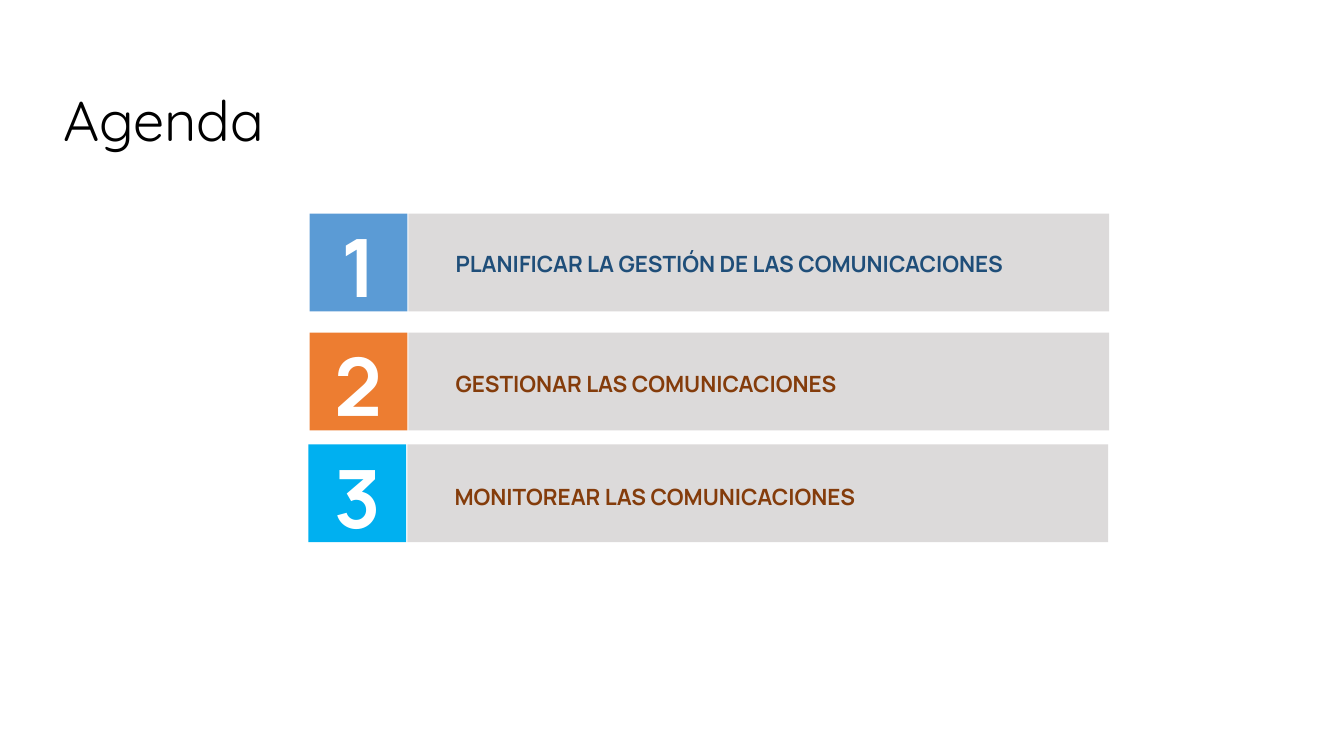
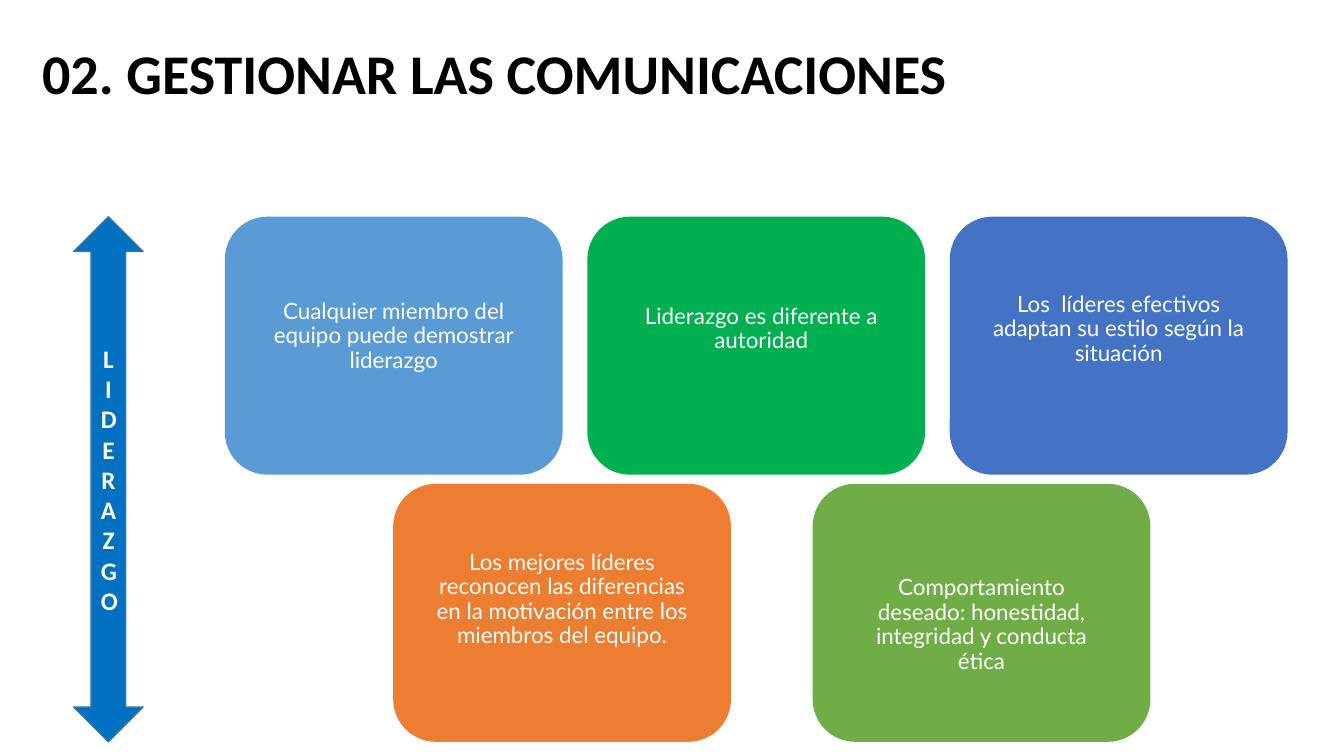
from pptx import Presentation
from pptx import util as u
from pptx.dml.color import RGBColor
from pptx.enum import shapes, text

# Colours
WHITE = RGBColor(0xFF, 0xFF, 0xFF)
BLACK = RGBColor(0, 0, 0)
GREY = RGBColor(0xDC, 0xDA, 0xDA)
BLUE = RGBColor(0x5B, 0x9B, 0xD5)
ORANGE = RGBColor(0xED, 0x7D, 0x31)
CYAN = RGBColor(0, 0xB0, 0xF0)
GREEN = RGBColor(0, 0xB0, 0x50)
INDIGO = RGBColor(0x44, 0x72, 0xC4)
OLIVE = RGBColor(0x70, 0xAD, 0x47)
NAVY = RGBColor(0x1F, 0x4E, 0x79)
BROWN = RGBColor(0x84, 0x3C, 0x0B)
ROYAL = RGBColor(0, 0x70, 0xC0)
EDGE = RGBColor(0x43, 0x73, 0x9E)

# Text styles
LIGHT = dict(name="Quicksand", size=u.Pt(40))
HEAVY = dict(name="Calibri", size=u.Pt(40), bold=True)
DIGIT = dict(name="Manrope", size=u.Pt(57.5), bold=True)
LABEL = dict(name="Manrope", size=u.Pt(16), bold=True)
BODY = dict(name="Lato", size=u.Pt(16))
SPINE = dict(name="Calibri", size=u.Pt(18), bold=True)
MID, TOP = text.MSO_ANCHOR.MIDDLE, text.MSO_ANCHOR.TOP
LEFT, CENTER = text.PP_ALIGN.LEFT, text.PP_ALIGN.CENTER
INSET = (0.1, 0.05)

# Agenda: label, tile colour, label colour, left, top, label's top in row
AGENDA = [
    ("PLANIFICAR LA GESTIÓN DE LAS COMUNICACIONES", BLUE, NAVY, 3.07, 2.12, 0.31),
    ("GESTIONAR LAS COMUNICACIONES", ORANGE, BROWN, 3.07, 3.3, 0.32),
    ("MONITOREAR LAS COMUNICACIONES", CYAN, BROWN, 3.06, 4.41, 0.33),
]
TILE, BAR = 0.97, 6.95

# Cards by row: first left, step, top, then (words, colour, text's place in card)
CARDS = [
    (2.23, 3.595, 2.15, [
        ("Cualquier miembro del equipo puede demostrar liderazgo", BLUE, 0.35, 0.79),
        ("Liderazgo es diferente a autoridad", GREEN, 0.4, 0.84),
        ("Los  líderes efectivos adaptan su estilo según la situación", INDIGO, 0.35, 0.72),
    ]),
    (3.9, 4.16, 4.8, [
        ("Los mejores líderes reconocen las diferencias en la motivación "
         "entre los miembros del equipo.", ORANGE, 0.35, 0.63),
        ("Comportamiento deseado: honestidad, integridad y conducta ética",
         OLIVE, 0.35, 0.88),
    ]),
]
CARD_W, CARD_H, TEXT_W = 3.35, 2.56, 2.65


def write(frame, words, style, color, align=LEFT, anchor=TOP, inset=INSET, lead=None):
    side, edge = map(u.Inches, inset)
    look = dict(word_wrap=True, vertical_anchor=anchor, margin_left=side,
                margin_right=side, margin_top=edge, margin_bottom=edge)
    for key, val in look.items():
        setattr(frame, key, val)
    para = frame.paragraphs[0]
    para.alignment = align
    if lead:
        para.line_spacing = lead
    run = para.add_run()
    run.text = words
    for key, val in style.items():
        setattr(run.font, key, val)
    run.font.color.rgb = color


def label(slide, box, *args, **opts):
    write(slide.shapes.add_textbox(*map(u.Inches, box)).text_frame, *args, **opts)


def block(slide, kind, box, fill, line=None):
    shape = slide.shapes.add_shape(kind, *map(u.Inches, box))
    shape.shadow.inherit = False
    shape.fill.solid()
    shape.fill.fore_color.rgb = fill
    if line:
        shape.line.color.rgb = line
        shape.line.width = u.Pt(1)
    else:
        shape.line.fill.background()
    return shape


def agenda(slide):
    label(slide, (0.53, 0.8, 8.02, 0.77), "Agenda", LIGHT, BLACK)
    rect = shapes.MSO_SHAPE.RECTANGLE
    for num, (words, fill, ink, left, top, drop) in enumerate(AGENDA, 1):
        bar = left + TILE + 0.01
        block(slide, rect, (left, top, TILE, TILE), fill)
        block(slide, rect, (bar, top, BAR, TILE), GREY)
        label(slide, (left, top - 0.02, TILE + 0.01, 1.07), str(num), DIGIT, WHITE,
              align=CENTER, anchor=MID)
        label(slide, (bar + 0.37, top + drop, 6.42, 0.37), words, LABEL, ink, anchor=MID)


def leaders(slide):
    label(slide, (0.32, 0.41, 9.93, 0.79), "02. GESTIONAR LAS COMUNICACIONES",
          HEAVY, BLACK, lead=0.9)
    # Cards
    for start, step, top, row in CARDS:
        for col, (words, fill, dx, dy) in enumerate(row):
            left = start + col * step
            card = block(slide, shapes.MSO_SHAPE.ROUNDED_RECTANGLE,
                         (left, top, CARD_W, CARD_H), fill)
            card.adjustments[0] = 0.165
            label(slide, (left + dx, top + dy, TEXT_W, 0.81), words, BODY, WHITE,
                  align=CENTER, inset=(0.05, 0.03), lead=u.Pt(17.5))
    # Arrow: its narrow shaft stacks the letters
    arrow = block(slide, shapes.MSO_SHAPE.UP_DOWN_ARROW, (0.73, 2.15, 0.69, 5.21),
                  ROYAL, EDGE)
    write(arrow.text_frame, "LIDERAZGO", SPINE, WHITE, align=CENTER, anchor=MID)


def main():
    deck = Presentation()
    deck.slide_width, deck.slide_height = u.Inches(13.33), u.Inches(7.5)
    for build in (agenda, leaders):
        build(deck.slides.add_slide(deck.slide_layouts[6]))
    deck.save("out.pptx")


if __name__ == "__main__":
    main()
